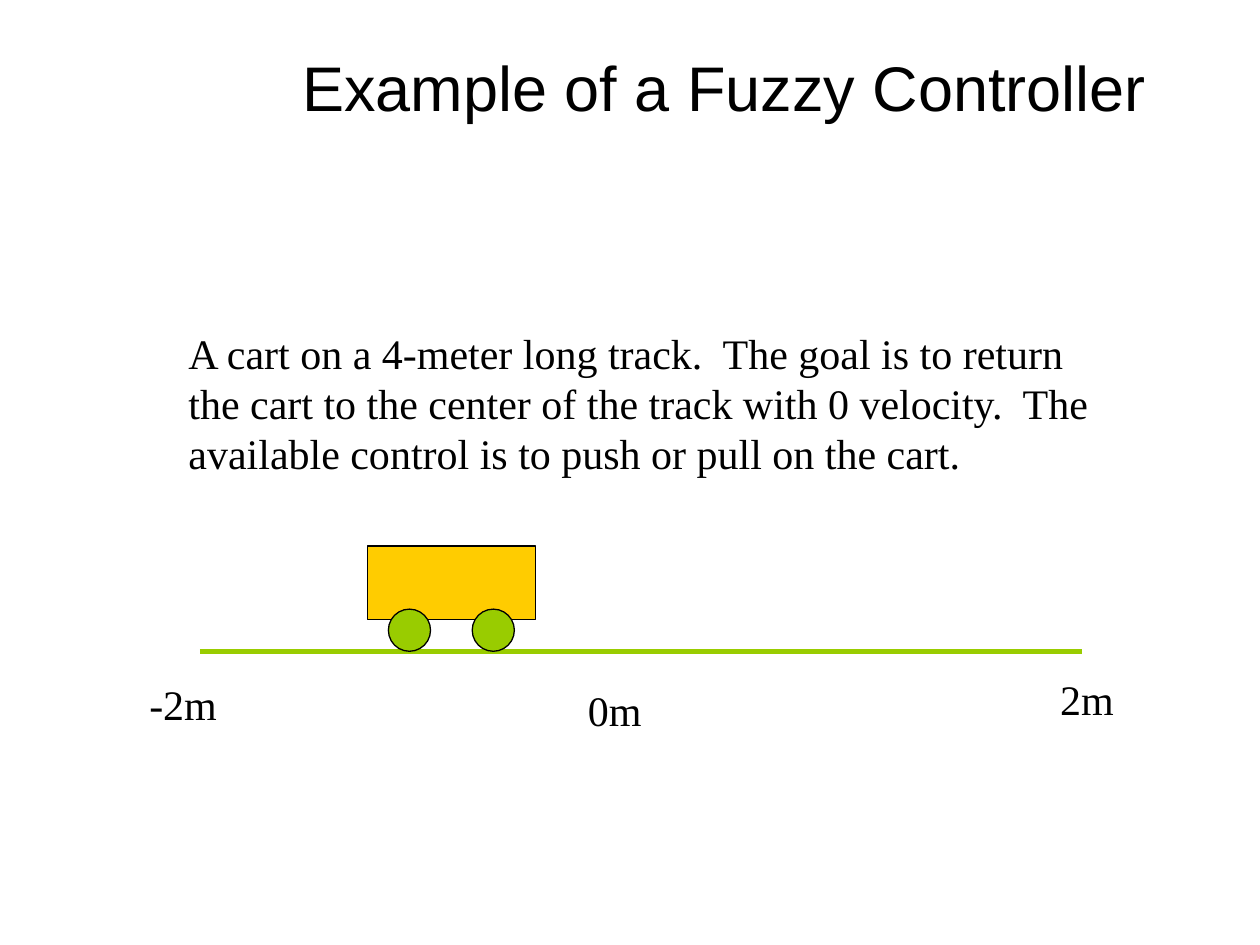
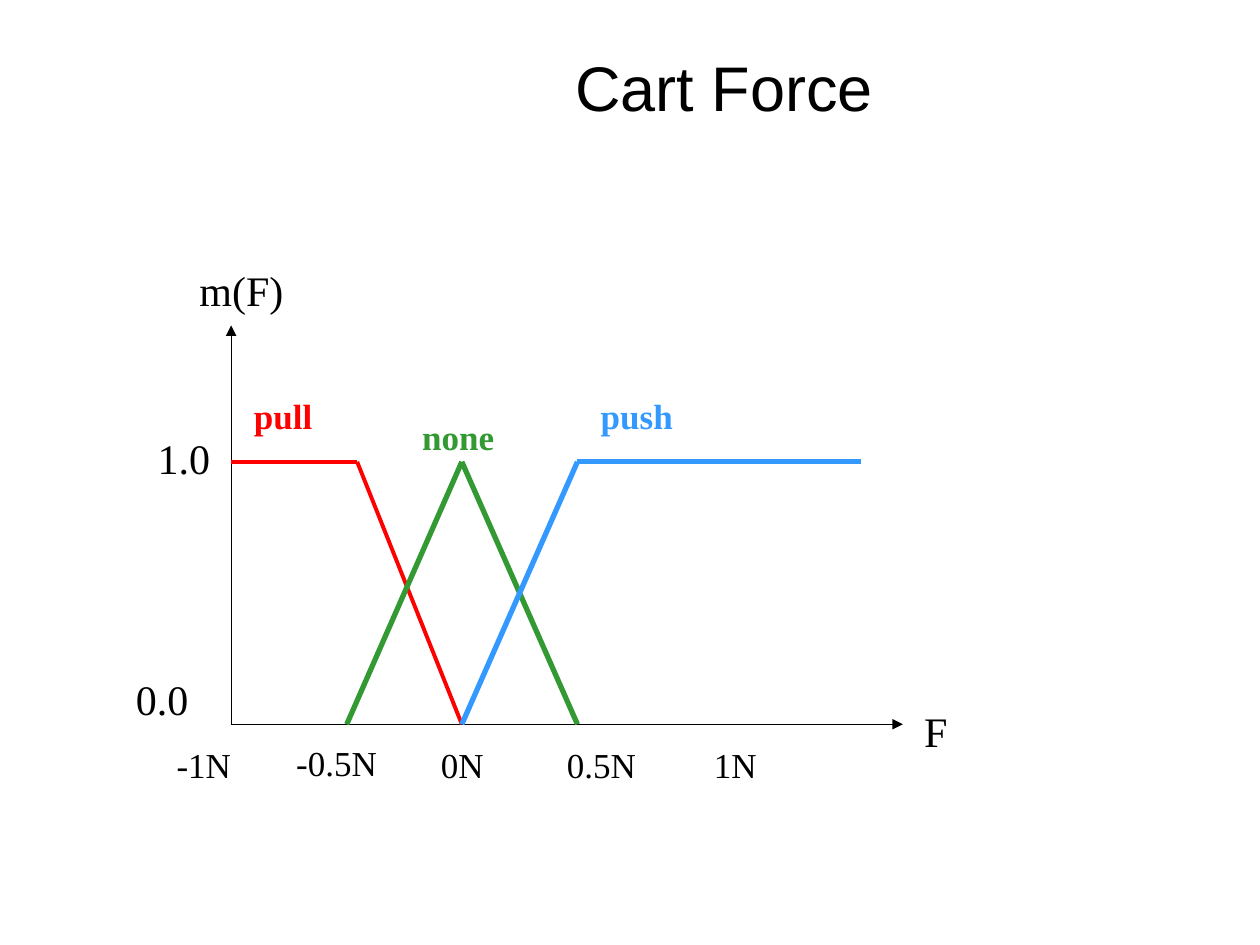
from dataclasses import dataclass
from itertools import pairwise

from lxml import etree
from pptx import Presentation
from pptx.dml.color import RGBColor
from pptx.enum import shapes, text
from pptx.oxml.ns import qn
from pptx.shapes.connector import Connector
from pptx.slide import Slide
from pptx.text.text import TextFrame
from pptx.util import Cm, Pt

# Shared style
BLACK = RGBColor(0x00, 0x00, 0x00)
LIME = RGBColor(0x99, 0xCC, 0x00)
AMBER = RGBColor(0xFF, 0xCC, 0x00)
RED = RGBColor(0xFF, 0x00, 0x00)
GREEN = RGBColor(0x33, 0x99, 0x33)
BLUE = RGBColor(0x33, 0x99, 0xFF)
TITLE_FONT = "Arial"
BODY_FONT = "Times New Roman"
TITLE_ONLY_LAYOUT = 5
THIN = 0.75
THICK = 3

Point = tuple[float, float]


@dataclass(frozen=True)
class Label:
    """A text box; lengths in centimetres."""
    wording: str
    left: float
    top: float
    width: float
    height: float = 1.27
    size: int = 24
    color: RGBColor = BLACK
    bold: bool = False


@dataclass(frozen=True)
class Part:
    """A filled, outlined preset shape; lengths in centimetres."""
    kind: shapes.MSO_SHAPE
    left: float
    top: float
    width: float
    height: float
    fill: RGBColor


@dataclass(frozen=True)
class Membership:
    """A fuzzy set: its name and the corners of its membership function."""
    label: Label
    corners: tuple[Point, ...]
    weight: float = THICK


def write_text(frame: TextFrame, wording: str, *, font: str = BODY_FONT,
               size: int = 24, color: RGBColor = BLACK, bold: bool = False,
               align: text.PP_ALIGN = text.PP_ALIGN.LEFT) -> None:
    frame.text = wording
    for paragraph in frame.paragraphs:
        paragraph.alignment = align
        for run in paragraph.runs:
            run.font.name = font
            run.font.size = Pt(size)
            run.font.bold = bold
            run.font.color.rgb = color


def add_titled_slide(presentation: Presentation, title: str) -> Slide:
    layout = presentation.slide_layouts[TITLE_ONLY_LAYOUT]
    slide = presentation.slides.add_slide(layout)
    shape = slide.shapes.title
    shape.left, shape.top = Cm(4.65), Cm(0.79)
    shape.width, shape.height = Cm(19.9), Cm(1.9)
    frame = shape.text_frame
    frame.auto_size = text.MSO_AUTO_SIZE.NONE
    frame.vertical_anchor = text.MSO_ANCHOR.MIDDLE
    write_text(frame, title, font=TITLE_FONT, size=36,
               align=text.PP_ALIGN.CENTER)
    return slide


def add_label(slide: Slide, label: Label) -> None:
    box = slide.shapes.add_textbox(Cm(label.left), Cm(label.top),
                                   Cm(label.width), Cm(label.height))
    frame = box.text_frame
    frame.word_wrap = False
    frame.auto_size = text.MSO_AUTO_SIZE.NONE
    write_text(frame, label.wording, size=label.size, color=label.color,
               bold=label.bold)


def add_part(slide: Slide, part: Part) -> None:
    shape = slide.shapes.add_shape(part.kind, Cm(part.left), Cm(part.top),
                                   Cm(part.width), Cm(part.height))
    shape.shadow.inherit = False
    shape.fill.solid()
    shape.fill.fore_color.rgb = part.fill
    shape.line.color.rgb = BLACK
    shape.line.width = Pt(THIN)


def add_line(slide: Slide, start: Point, end: Point, color: RGBColor,
             weight: float) -> Connector:
    line = slide.shapes.add_connector(
        shapes.MSO_CONNECTOR.STRAIGHT,
        Cm(start[0]), Cm(start[1]), Cm(end[0]), Cm(end[1]))
    line.line.color.rgb = color
    line.line.width = Pt(weight)
    etree.SubElement(line._element.spPr, qn("a:effectLst"))
    return line


def add_axis(slide: Slide, start: Point, end: Point) -> None:
    axis = add_line(slide, start, end, BLACK, THIN)
    outline = axis._element.spPr.find(qn("a:ln"))
    etree.SubElement(outline, qn("a:tailEnd"), type="triangle")


# Cart on its track
TRACK_Y = 13.13
WHEEL = 0.85
CART = (
    Part(shapes.MSO_SHAPE.RECTANGLE, 7.41, 11.01, 3.39, 1.48, AMBER),
    *(Part(shapes.MSO_SHAPE.OVAL, left, TRACK_Y - WHEEL, WHEEL, WHEEL, LIME)
      for left in (7.83, 9.52)),
)
TRACK_LABELS = (
    Label("-2m", 2.76, 13.55, 1.95),
    Label("2m", 21.12, 13.46, 1.65),
    Label("0m", 11.6, 13.67, 1.65),
)
TASK = Label("A cart on a 4-meter long track.  The goal is to return\n"
             "the cart to the center of the track with 0 velocity.  The\n"
             "available control is to push or pull on the cart.",
             3.55, 6.47, 18.8, 3.3)

# Membership functions of the force
AXIS_X, ZERO_X, HALF_X = 4.66, 9.31, 11.64
BASE_Y, FULL_Y = 14.6, 9.31
NAME_STYLE = {"height": 1.12, "size": 20, "bold": True}
FORCE_SETS = (
    Membership(Label("pull", 4.87, 7.83, 1.7, color=RED, **NAME_STYLE),
               ((AXIS_X, FULL_Y), (7.2, FULL_Y), (ZERO_X, BASE_Y)), 2.25),
    Membership(Label("none", 8.26, 8.26, 2, color=GREEN, **NAME_STYLE),
               ((6.99, BASE_Y), (ZERO_X, FULL_Y), (HALF_X, BASE_Y))),
    Membership(Label("push", 11.86, 7.83, 2, color=BLUE, **NAME_STYLE),
               ((ZERO_X, BASE_Y), (HALF_X, FULL_Y), (17.36, FULL_Y))),
)
AXIS_LABELS = (
    Label("m(F)", 3.77, 5.21, 2.3),
    Label("1.0", 2.93, 8.59, 1.65),
    Label("0.0", 2.49, 13.46, 1.65),
    Label("F", 18.38, 14.1, 1.05),
)
FORCE_TICKS = (
    ("-1N", 3.31, 14.86, 1.7),
    ("-0.5N", 5.72, 14.82, 2.2),
    ("0N", 8.64, 14.86, 1.45),
    ("0.5N", 11.18, 14.86, 1.95),
    ("1N", 14.14, 14.86, 1.45),
)


def build_cart_slide(presentation: Presentation) -> None:
    slide = add_titled_slide(presentation, "Example of a Fuzzy Controller")
    add_line(slide, (4.03, TRACK_Y), (21.81, TRACK_Y), LIME, THICK)
    for part in CART:
        add_part(slide, part)
    for label in (*TRACK_LABELS, TASK):
        add_label(slide, label)


def build_force_slide(presentation: Presentation) -> None:
    slide = add_titled_slide(presentation, "Cart Force")
    origin = (AXIS_X, BASE_Y)
    for tip in ((AXIS_X, 6.56), (18.2, BASE_Y)):
        add_axis(slide, origin, tip)
    for force_set in FORCE_SETS:
        for start, end in pairwise(force_set.corners):
            add_line(slide, start, end, force_set.label.color,
                     force_set.weight)
    for label in AXIS_LABELS:
        add_label(slide, label)
    for wording, left, top, width in FORCE_TICKS:
        add_label(slide, Label(wording, left, top, width, 1.12, size=20))
    for force_set in FORCE_SETS:
        add_label(slide, force_set.label)


def main() -> None:
    presentation = Presentation()
    presentation.slide_width, presentation.slide_height = Cm(25.4), Cm(19.05)
    build_cart_slide(presentation)
    build_force_slide(presentation)
    presentation.save("out.pptx")


if __name__ == "__main__":
    main()
